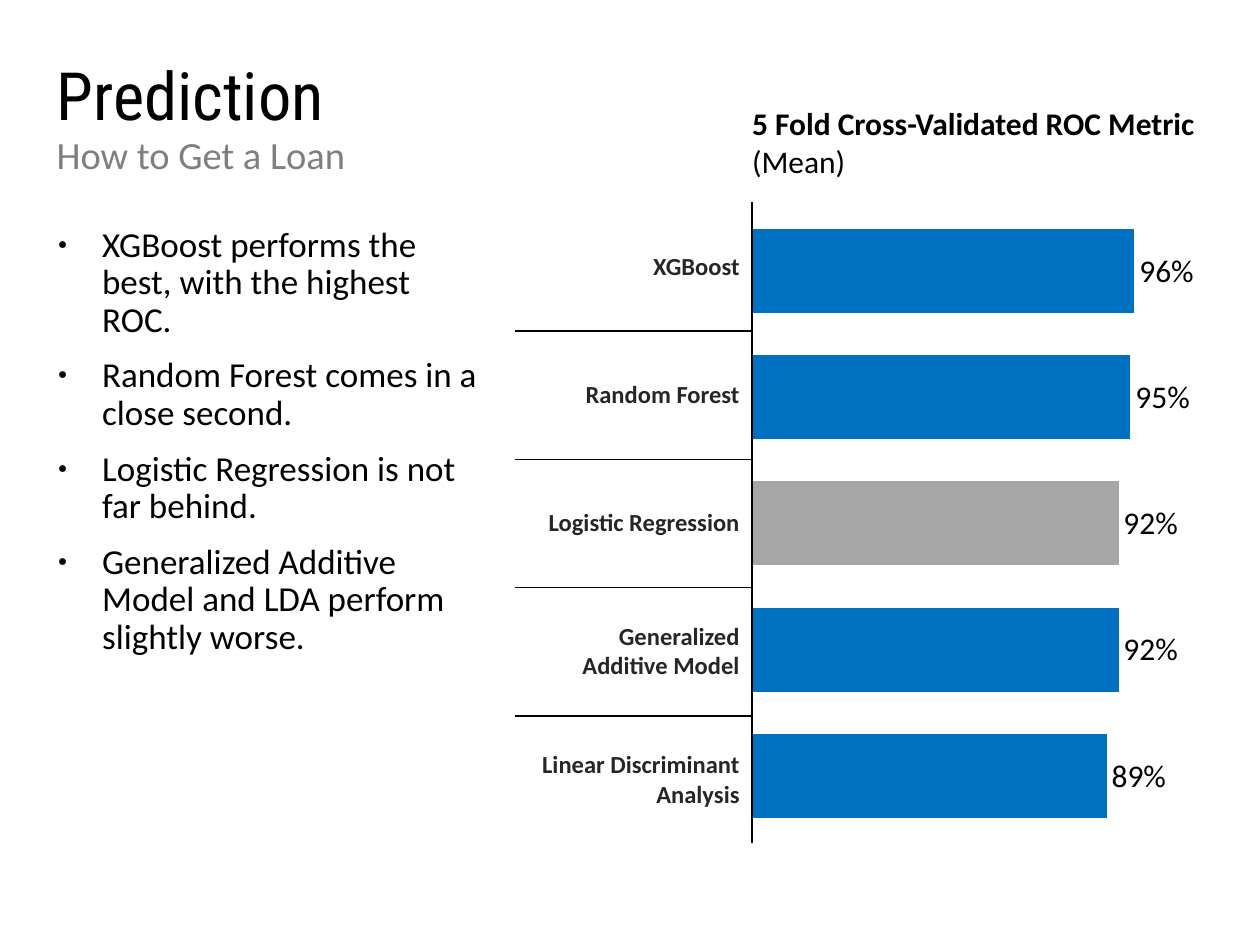
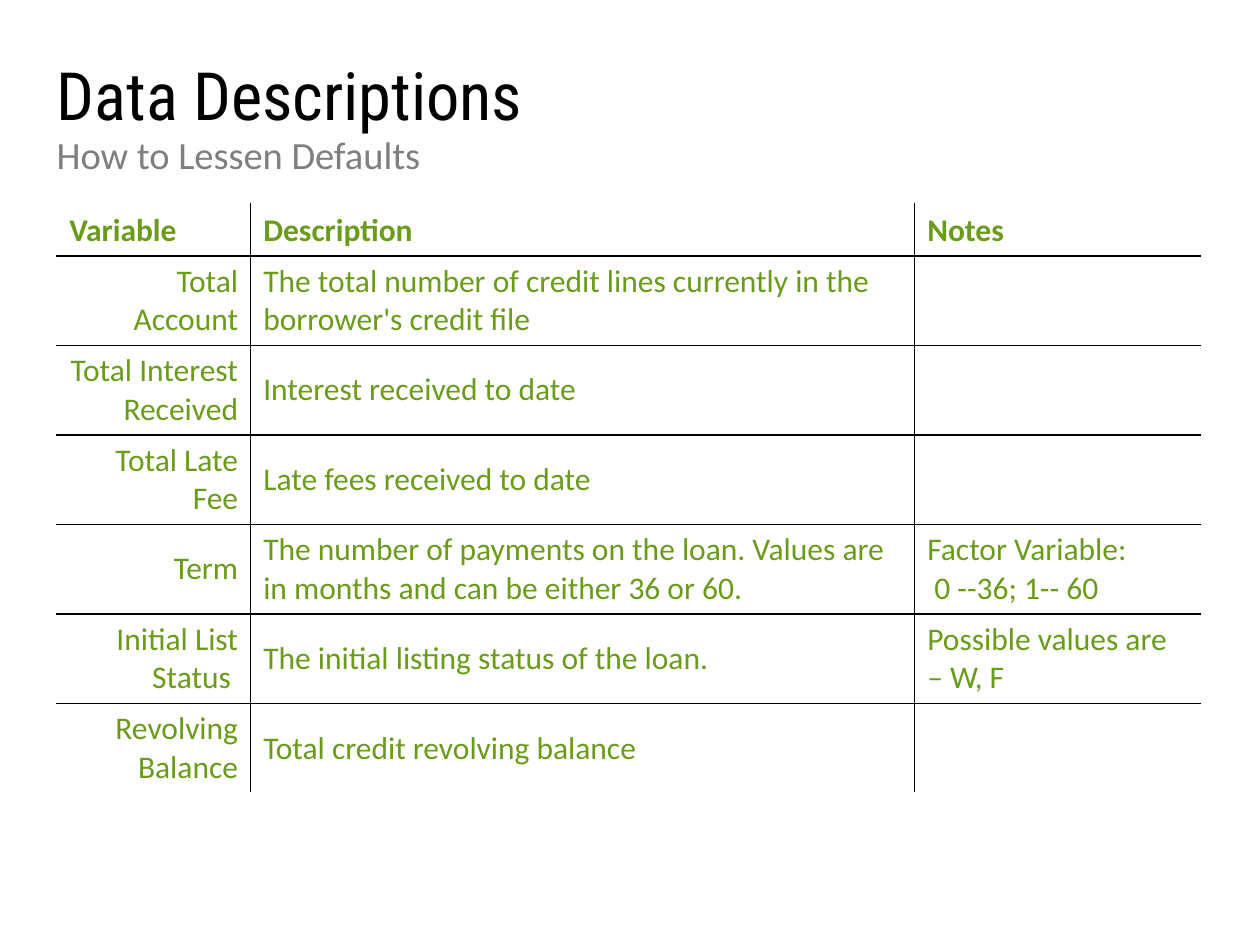
from lxml import etree
from pptx import Presentation
from pptx import util as u
from pptx.chart.data import CategoryChartData
from pptx.dml.color import RGBColor
from pptx.enum import chart as charts, text
from pptx.oxml import parse_xml
from pptx.oxml import ns

BLACK = RGBColor(0x00, 0x00, 0x00)
WHITE = RGBColor(0xFF, 0xFF, 0xFF)
GRAY = RGBColor(0x7F, 0x7F, 0x7F)
CHARCOAL = RGBColor(0x26, 0x26, 0x26)
GREEN = RGBColor(0x6B, 0x9B, 0x1A)
BLUE = RGBColor(0x00, 0x70, 0xC0)
LIGHT_GRAY = RGBColor(0xA6, 0xA6, 0xA6)
TITLE_FONT = "Roboto Condensed"
BODY_FONT = "Calibri"


def add_run(paragraph, words, size, color, bold=False, font=BODY_FONT):
    run = paragraph.add_run()
    run.text = words
    run.font.name = font
    run.font.size = u.Pt(size)
    run.font.bold = bold
    run.font.color.rgb = color


def format_cell(cell, black_sides):
    """Clear the fill and draw the borders: black on the named sides, white elsewhere."""
    properties = cell._tc.get_or_add_tcPr()
    for side in "LRTB":
        line = etree.SubElement(properties, ns.qn(f"a:ln{side}"), w=str(u.Pt(1)))
        fill = etree.SubElement(line, ns.qn("a:solidFill"))
        color = BLACK if side in black_sides else WHITE
        etree.SubElement(fill, ns.qn("a:srgbClr"), val=str(color))
    cell.fill.background()
    cell.vertical_anchor = text.MSO_ANCHOR.MIDDLE


presentation = Presentation()
presentation.slide_width = u.Inches(10)
presentation.slide_height = u.Inches(7.5)

# Titles and subtitles
slides = []
for layout_name, title, subtitle in [
    ("Two Content", "Prediction", "How to Get a Loan"),
    ("Title and Content", "Data Descriptions", "How to Lessen Defaults"),
]:
    layout = presentation.slide_layouts.get_by_name(layout_name)
    slide = presentation.slides.add_slide(layout)
    slides.append(slide)
    for shape, words, top, height, size, color, font in [
        (slide.shapes.title, title, 0.45, 1.17, 38, BLACK, TITLE_FONT),
        (slide.placeholders[1], subtitle, 1.03, 0.59, 22, GRAY, BODY_FONT),
    ]:
        shape.left, shape.top = u.Inches(0.45), u.Inches(top)
        shape.width, shape.height = u.Inches(9.1), u.Inches(height)
        frame = shape.text_frame
        frame.margin_left = 0
        frame.auto_size = text.MSO_AUTO_SIZE.NONE
        frame.vertical_anchor = text.MSO_ANCHOR.TOP
        paragraph = frame.paragraphs[0]
        paragraph.alignment = text.PP_ALIGN.LEFT
        paragraph.line_spacing = 0.9
        paragraph.space_before = u.Pt(0)
        properties = paragraph._p.get_or_add_pPr()
        properties.set("marL", "0")
        properties.set("indent", "0")
        etree.SubElement(properties, ns.qn("a:buNone"))
        add_run(paragraph, words, size, color, font=font)

prediction_slide, data_slide = slides

# Findings
findings = prediction_slide.placeholders[2]
findings.left, findings.top = u.Inches(0.24), u.Inches(1.75)
findings.width, findings.height = u.Inches(3.66), u.Inches(5.46)
frame = findings.text_frame
frame.auto_size = text.MSO_AUTO_SIZE.NONE
for index, finding in enumerate([
    "XGBoost performs the best, with the highest ROC.",
    "Random Forest comes in a close second.",
    "Logistic Regression is not far behind.",
    "Generalized Additive Model and LDA perform slightly worse.",
]):
    paragraph = frame.add_paragraph() if index else frame.paragraphs[0]
    paragraph.line_spacing = 0.9
    paragraph.space_before = u.Pt(10 if index else 0)
    properties = paragraph._p.get_or_add_pPr()
    properties.set("marL", str(u.Inches(0.47)))
    properties.set("indent", str(u.Inches(-0.35)))
    etree.SubElement(properties, ns.qn("a:buSzPct"), val="45000")
    etree.SubElement(properties, ns.qn("a:buChar"), char="●")
    add_run(paragraph, finding, 20, BLACK)

# Chart heading
heading = prediction_slide.shapes.add_textbox(
    u.Inches(5.87), u.Inches(0.78), u.Inches(3.85), u.Inches(0.71))
heading.text_frame.word_wrap = True
paragraph = heading.text_frame.paragraphs[0]
add_run(paragraph, "5 Fold Cross-Validated ROC Metric ", 18, BLACK, bold=True)
add_run(paragraph, "(Mean)", 18, BLACK)

# Model names, one row beside each bar
models = ["XGBoost", "Random Forest", "Logistic Regression",
          "Generalized Additive Model", "Linear Discriminant Analysis"]
model_table = prediction_slide.shapes.add_table(
    len(models), 1, u.Inches(4.09), u.Inches(1.61), u.Inches(1.88), u.Inches(5.09)).table
model_table.first_row = model_table.horz_banding = False
for row, model in enumerate(models):
    cell = model_table.cell(row, 0)
    format_cell(cell, "R" + "T" * (row > 0) + "B" * (row < len(models) - 1))
    paragraph = cell.text_frame.paragraphs[0]
    paragraph.alignment = text.PP_ALIGN.RIGHT
    add_run(paragraph, model, 14, CHARCOAL, bold=True)

# ROC bars, listed from the bottom up
chart_data = CategoryChartData(number_format="0%")
chart_data.categories = ["1", "2", "3", "4", "5"]
chart_data.add_series("Series 1", [0.89, 0.92, 0.92, 0.95, 0.96])
chart = prediction_slide.shapes.add_chart(
    charts.XL_CHART_TYPE.BAR_CLUSTERED, u.Inches(5.98), u.Inches(1.65),
    u.Inches(3.58), u.Inches(5.01), chart_data).chart
chart.has_title = chart.has_legend = False
chart.font.name = BODY_FONT
chart.font.size = u.Pt(18)
chart.font.color.rgb = BLACK
chart.category_axis.visible = chart.value_axis.visible = False
chart.value_axis.has_major_gridlines = False
chart.value_axis.minimum_scale = 0
chart.value_axis.maximum_scale = 1
plot = chart.plots[0]
plot.gap_width = 50
plot.vary_by_categories = False
plot.has_data_labels = True
labels = plot.data_labels
labels.show_value = True
labels.number_format = "0%"
labels.number_format_is_linked = False
labels.position = charts.XL_LABEL_POSITION.OUTSIDE_END
series = plot.series[0]
for fill, color in [(series.format.fill, BLUE), (series.points[2].format.fill, LIGHT_GRAY)]:
    fill.solid()
    fill.fore_color.rgb = color

plot_area = chart._chartSpace.chart.plotArea
for automatic_layout in plot_area.findall(ns.qn("c:layout")):
    plot_area.remove(automatic_layout)
plot_area.insert(0, parse_xml(
    f'<c:layout {ns.nsdecls("c")}><c:manualLayout><c:layoutTarget val="inner"/>'
    '<c:xMode val="edge"/><c:yMode val="edge"/><c:x val="0"/><c:y val="0"/>'
    '<c:w val="0.88"/><c:h val="1"/></c:manualLayout></c:layout>'))

# Variable descriptions
variables = [
    ("Variable", "Description", "Notes"),
    ("Total Account",
     "The total number of credit lines currently in the borrower's credit file", ""),
    ("Total Interest Received", "Interest received to date", ""),
    ("Total Late Fee", "Late fees received to date", ""),
    ("Term",
     "The number of payments on the loan. Values are in months and can be either 36 or 60.",
     "Factor Variable:\n 0 --36; 1-- 60"),
    ("Initial List Status ", "The initial listing status of the loan.",
     "Possible values are – W, F"),
    ("Revolving Balance", "Total credit revolving balance", ""),
]
widths = [1.54, 5.27, 2.27]
variable_table = data_slide.shapes.add_table(
    len(variables), len(widths), u.Inches(0.45), u.Inches(1.62),
    u.Inches(sum(widths)), u.Inches(4.67)).table
variable_table.horz_banding = variable_table.first_row = False
for column, width in enumerate(widths):
    variable_table.columns[column].width = u.Inches(width)
for row, values in enumerate(variables):
    is_header = row == 0
    variable_table.rows[row].height = u.Inches(0.41 if is_header else 0.71)
    for column, value in enumerate(values):
        cell = variable_table.cell(row, column)
        format_cell(cell, "L" * (column > 0) + "R" * (column < len(widths) - 1)
                    + "T" * (row > 0) + "B" * (row < len(variables) - 1))
        if is_header:
            cell.vertical_anchor = text.MSO_ANCHOR.BOTTOM
        if not value:
            continue
        for index, words in enumerate(value.split("\n")):
            frame = cell.text_frame
            paragraph = frame.add_paragraph() if index else frame.paragraphs[0]
            if column == 0 and not is_header:
                paragraph.alignment = text.PP_ALIGN.RIGHT
            add_run(paragraph, words, 18, GREEN, bold=is_header)

presentation.save("out.pptx")
